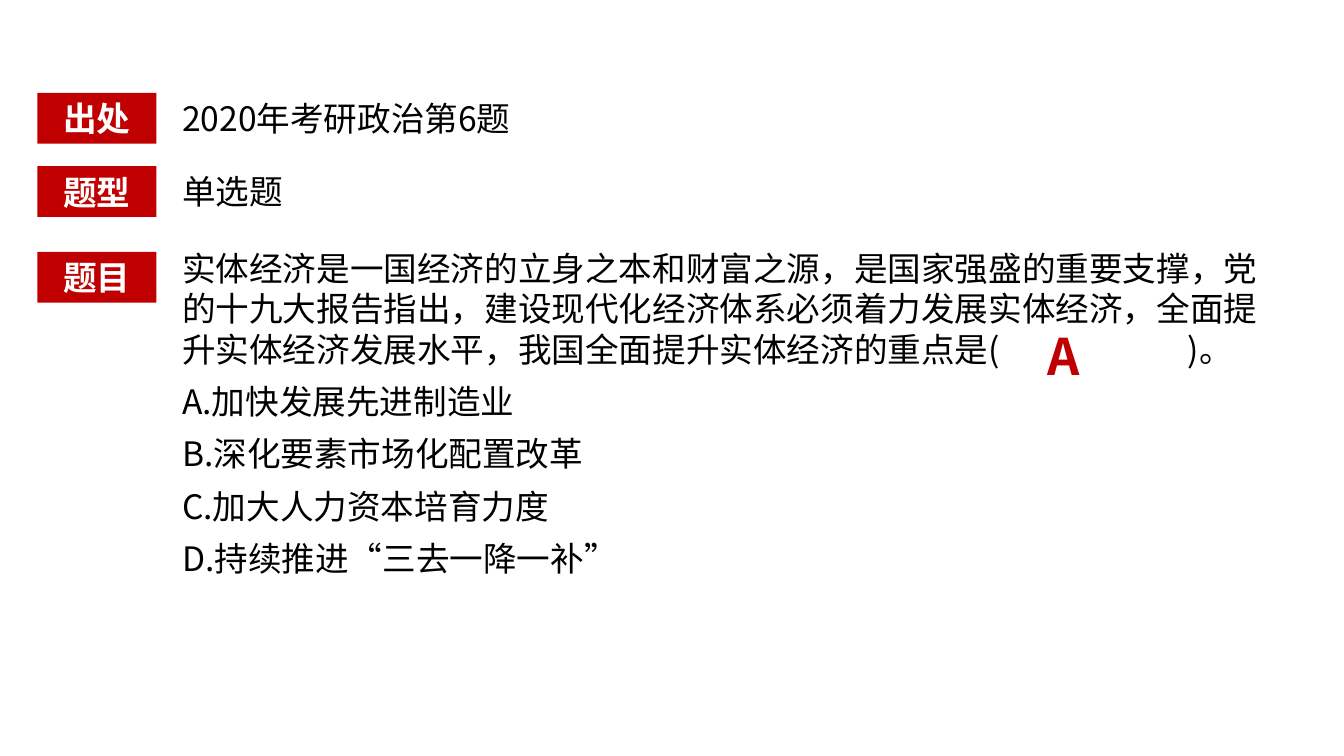
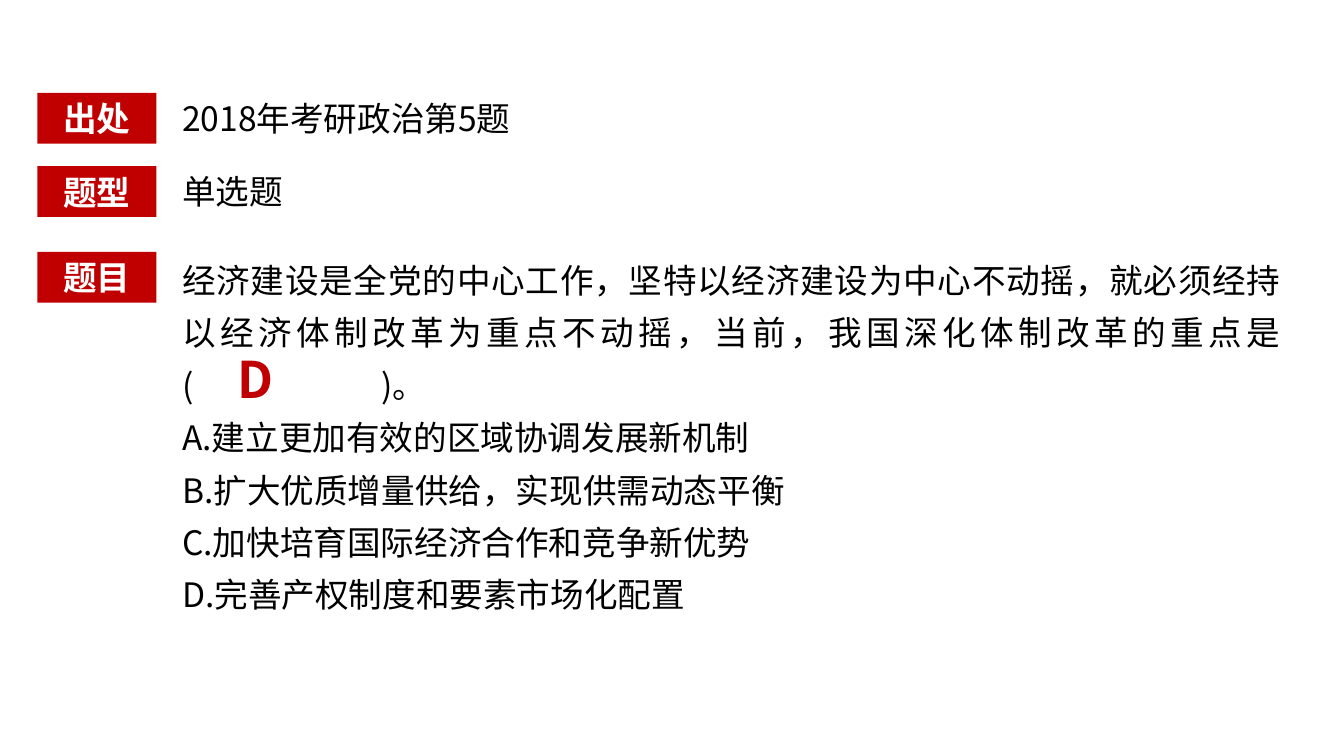
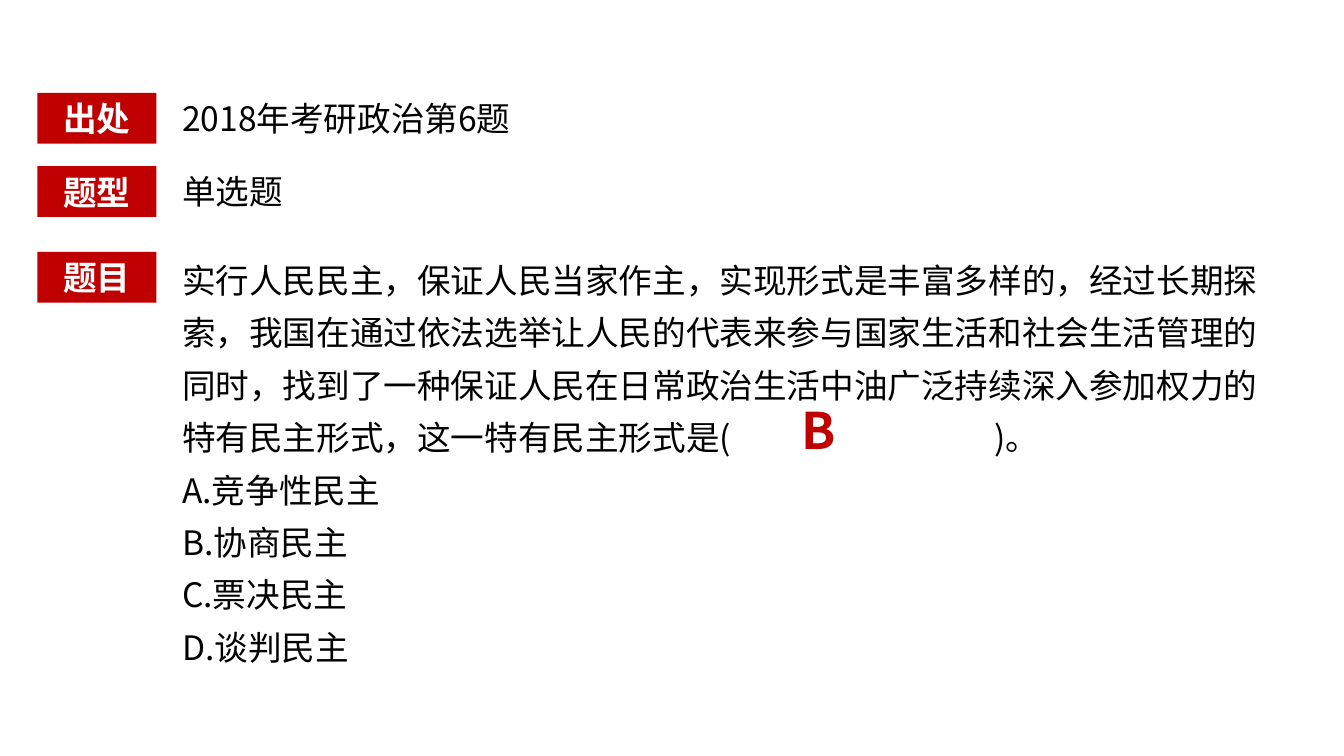
from lxml import etree
from pptx import Presentation
from pptx.dml.color import RGBColor
from pptx.enum.shapes import MSO_SHAPE
from pptx.enum.text import MSO_ANCHOR, MSO_AUTO_SIZE, PP_ALIGN
from pptx.oxml.ns import qn
from pptx.util import Cm, Pt

RECTANGLE = MSO_SHAPE.RECTANGLE
MIDDLE, TOP = MSO_ANCHOR.MIDDLE, MSO_ANCHOR.TOP
GROW = MSO_AUTO_SIZE.SHAPE_TO_FIT_TEXT
LEFT, CENTER, JUSTIFY = PP_ALIGN.LEFT, PP_ALIGN.CENTER, PP_ALIGN.JUSTIFY

COLORS = {"red": "C00000", "white": "FFFFFF", "black": "000000"}
FONT = "Noto Sans CJK SC"
FORMATS = {
    "label": {"size": Pt(24), "bold": True, "color": "white"},
    "body": {"size": Pt(24), "bold": False, "color": "black"},
    "answer": {"size": Pt(36), "bold": True, "color": "red"},
}

# Shared layout, in centimetres
LABEL_LEFT, LABEL_WIDTH, ROW_HEIGHT = 0.94, 3, 1.28
TEXT_LEFT, TEXT_WIDTH = 4.34, 23
SOURCE_TOP, TYPE_TOP, QUESTION_TOP = 2.34, 4.19, 6.35
STEM_TOP, STEM_WIDTH = 6.12, 28.19
ANSWER_WIDTH, ANSWER_HEIGHT = 5, 1.8


class QuizDeck:
    def __init__(self):
        self.deck = Presentation()
        self.deck.slide_width, self.deck.slide_height = Cm(33.87), Cm(19.05)
        self.page = None

    def add_page(self):
        self.page = self.deck.slides.add_slide(self.deck.slide_layouts[6])

    def add_span(self, para, text, style, spacing=None):
        """Add a span; spacing widens the gap between its characters."""
        span = para.add_run()
        span.text = text
        span.font.name = FONT
        properties = span.font._element
        etree.SubElement(properties, qn("a:ea")).set("typeface", FONT)
        if spacing:
            properties.set("spc", str(round(spacing * 100)))
        for name, value in FORMATS[style].items():
            if name == "color":
                span.font.color.rgb = RGBColor.from_string(COLORS[value])
            else:
                setattr(span.font, name, value)

    def prepare(self, shape, anchor):
        frame = shape.text_frame
        settings = {"word_wrap": True, "auto_size": GROW, "vertical_anchor": anchor}
        for name, value in settings.items():
            setattr(frame, name, value)
        return frame

    def label(self, top, text):
        box = self.page.shapes.add_shape(
            RECTANGLE, Cm(LABEL_LEFT), Cm(top), Cm(LABEL_WIDTH), Cm(ROW_HEIGHT))
        box.shadow.inherit = False
        box.fill.solid()
        box.fill.fore_color.rgb = RGBColor.from_string(COLORS["red"])
        box.line.fill.background()
        para = self.prepare(box, MIDDLE).paragraphs[0]
        para.alignment = CENTER
        self.add_span(para, text, "label")

    def text_frame(self, left, top, width, height):
        box = self.page.shapes.add_textbox(Cm(left), Cm(top), Cm(width), Cm(height))
        return self.prepare(box, TOP)

    def text(self, top, text):
        frame = self.text_frame(TEXT_LEFT, top, TEXT_WIDTH, ROW_HEIGHT)
        self.add_span(frame.paragraphs[0], text, "body")

    def question(self, stem, options, height, gap, line_spacing, align):
        frame = self.text_frame(TEXT_LEFT, STEM_TOP, STEM_WIDTH, height)
        para = frame.paragraphs[0]
        para.alignment, para.line_spacing = align, line_spacing
        self.add_span(para, stem, "body")
        # The opening bracket carries the width of the answer blank
        self.add_span(para, "( ", "body", gap)
        self.add_span(para, ")。", "body")
        for letter, option in zip("ABCD", options):
            para = frame.add_paragraph()
            para.line_spacing = 1.3
            self.add_span(para, f"{letter}.{option}", "body")

    def answer(self, left, top, letter):
        frame = self.text_frame(left, top, ANSWER_WIDTH, ANSWER_HEIGHT)
        self.add_span(frame.paragraphs[0], letter, "answer")


QUIZ = [
    {
        "source": "2020年考研政治第6题",
        "question": {
            "stem": "实体经济是一国经济的立身之本和财富之源，是国家强盛的重要支撑，"
                    "党的十九大报告指出，建设现代化经济体系必须着力发展实体经济，"
                    "全面提升实体经济发展水平，我国全面提升实体经济的重点是",
            "options": ["加快发展先进制造业", "深化要素市场化配置改革",
                        "加大人力资本培育力度", "持续推进“三去一降一补”"],
            "height": 8.53, "gap": 64.5, "line_spacing": 1.0, "align": LEFT,
        },
        "answer": (26.14, 8.08, "A"),
    },
    {
        "source": "2018年考研政治第5题",
        "question": {
            "stem": "经济建设是全党的中心工作，坚特以经济建设为中心不动摇，"
                    "就必须经持以经济体制改革为重点不动摇，当前，"
                    "我国深化体制改革的重点是",
            "options": ["建立更加有效的区域协调发展新机制",
                        "扩大优质增量供给，实现供需动态平衡",
                        "加快培育国际经济合作和竞争新优势",
                        "完善产权制度和要素市场化配置"],
            "height": 9.47, "gap": 64.5, "line_spacing": 1.3, "align": JUSTIFY,
        },
        "answer": (5.74, 8.64, "D"),
    },
    {
        "source": "2018年考研政治第6题",
        "question": {
            "stem": "实行人民民主，保证人民当家作主，实现形式是丰富多样的，"
                    "经过长期探索，我国在通过依法选举让人民的代表来参与国家生活"
                    "和社会生活管理的同时，找到了一种保证人民在日常政治生活中油"
                    "广泛持续深入参加权力的特有民主形式，这一特有民主形式是",
            "options": ["竞争性民主", "协商民主", "票决民主", "谈判民主"],
            "height": 10.8, "gap": 91.4, "line_spacing": 1.3, "align": LEFT,
        },
        "answer": (19.94, 9.93, "B"),
    },
]


def main():
    quiz = QuizDeck()
    for item in QUIZ:
        quiz.add_page()
        # Source and question type
        quiz.text(SOURCE_TOP, item["source"])
        quiz.label(SOURCE_TOP, "出处")
        quiz.label(QUESTION_TOP, "题目")
        # Question with its answer
        quiz.question(**item["question"])
        quiz.answer(*item["answer"])
        quiz.label(TYPE_TOP, "题型")
        quiz.text(TYPE_TOP, "单选题")
    quiz.deck.save("out.pptx")


if __name__ == "__main__":
    main()
